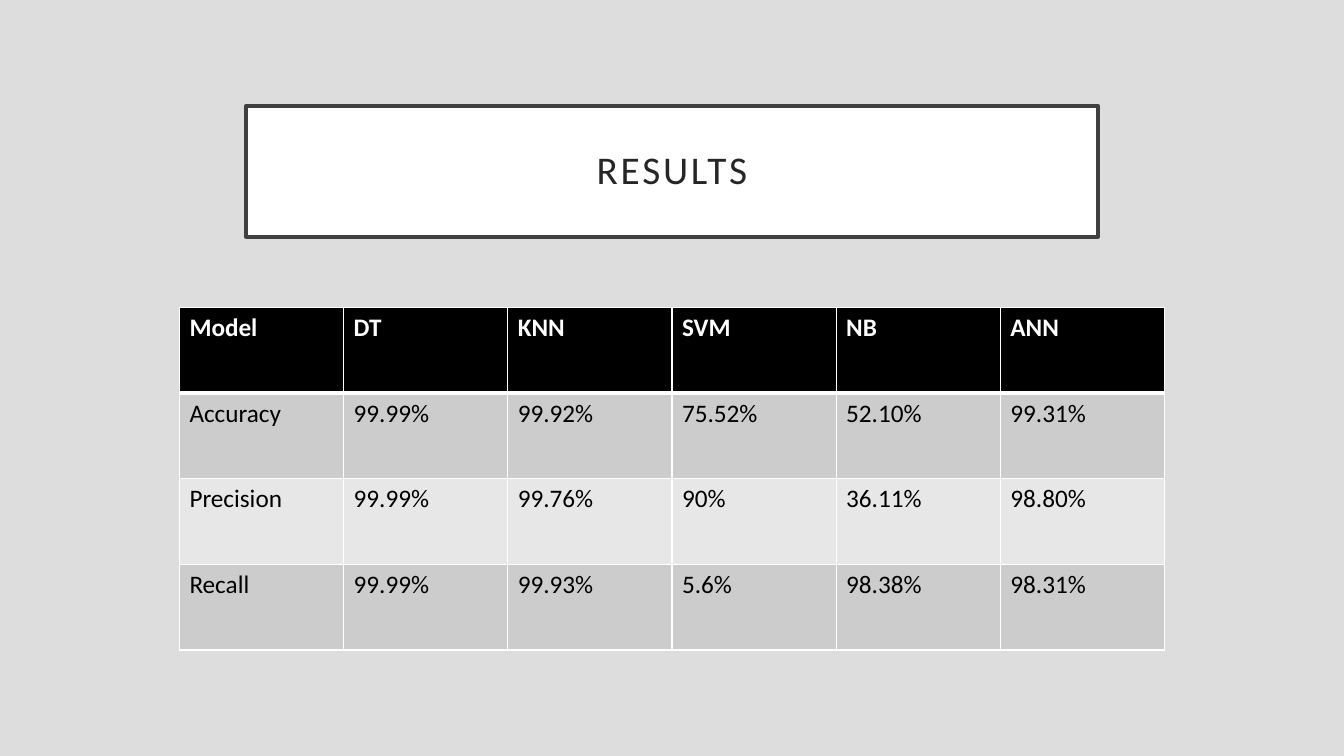
from lxml.etree import SubElement
from pptx import Presentation
from pptx.dml.color import RGBColor
from pptx.enum.shapes import MSO_SHAPE
from pptx.enum.text import MSO_ANCHOR, PP_ALIGN
from pptx.oxml.ns import qn
from pptx.util import Inches, Pt

COLORS = {
    "background": "DDDDDD", "white": "FFFFFF", "black": "000000",
    "frame": "404040", "title": "262626",
    "band_dark": "CCCCCC", "band_light": "E7E7E7",
}


def rgb(name):
    return RGBColor.from_string(COLORS[name])


class Deck:
    """Style and current slide; lengths are percentages of the slide's size."""
    font = "Calibri"

    def __init__(self, width, height):
        self.prs = Presentation()
        self.prs.slide_width, self.prs.slide_height = Inches(width), Inches(height)
        self.s = self.prs.slides.add_slide(self.prs.slide_layouts[6])
        fill = self.s.background.fill
        fill.solid()
        fill.fore_color.rgb = rgb("background")

    def centered(self, top, width, height):
        """Box centred across the slide."""
        w, h = self.prs.slide_width / 100, self.prs.slide_height / 100
        return [round(v) for v in
                ((100 - width) / 2 * w, top * h, width * w, height * h)]

    def run(self, p, text, size, color, bold=False):
        r = p.add_run()
        r.text = text
        r.font.name, r.font.size, r.font.bold = self.font, Pt(size), bold
        r.font.color.rgb = rgb(color)
        return r

    def title(self, text, top, width, height):
        sp = self.s.shapes.add_shape(MSO_SHAPE.RECTANGLE,
                                     *self.centered(top, width, height))
        sp.shadow.inherit = False
        sp.fill.solid()
        sp.fill.fore_color.rgb = rgb("white")
        sp.line.color.rgb, sp.line.width = rgb("frame"), Pt(2.5)
        tf = sp.text_frame
        tf.word_wrap, tf.vertical_anchor = True, MSO_ANCHOR.MIDDLE
        tf.margin_left = tf.margin_right = Inches(0.2)
        tf.margin_top = tf.margin_bottom = Inches(0.2)
        p = tf.paragraphs[0]
        p.alignment, p.line_spacing = PP_ALIGN.CENTER, 0.9
        r = self.run(p, text, 28, "title")
        r.font._element.set("spc", "200")

    def borders(self, cell, **widths):
        """Draw white cell borders; must precede the fill in the XML."""
        tcPr = cell._tc.get_or_add_tcPr()
        for side, width in widths.items():
            ln = SubElement(tcPr, qn(f"a:ln{side}"), w=str(Pt(width)))
            fill = SubElement(ln, qn("a:solidFill"))
            SubElement(fill, qn("a:srgbClr"), val=COLORS["white"])

    def table(self, rows, top, width, height):
        box = self.centered(top, width, height)
        table = self.s.shapes.add_table(len(rows), len(rows[0]), *box).table
        for i, row in enumerate(rows):
            header = i == 0
            band = "black" if header else "band_dark" if i % 2 else "band_light"
            for j, text in enumerate(row):
                cell = table.cell(i, j)
                self.borders(cell, L=1, R=1, T=3 if i == 1 else 1,
                             B=3 if header else 1)
                cell.fill.solid()
                cell.fill.fore_color.rgb = rgb(band)
                self.run(cell.text_frame.paragraphs[0], text, 18,
                         "white" if header else "black", header)


deck = Deck(13.33, 7.5)

# Framed title
deck.title("RESULTS", top=14, width=63.4, height=17.33)

# Scores of each model
deck.table([
    ["Model", "DT", "KNN", "SVM", "NB", "ANN"],
    ["Accuracy", "99.99%", "99.92%", "75.52%", "52.10%", "99.31%"],
    ["Precision", "99.99%", "99.76%", "90%", "36.11%", "98.80%"],
    ["Recall", "99.99%", "99.93%", "5.6%", "98.38%", "98.31%"],
], top=40.67, width=73.3, height=45.33)

deck.prs.save("out.pptx")
